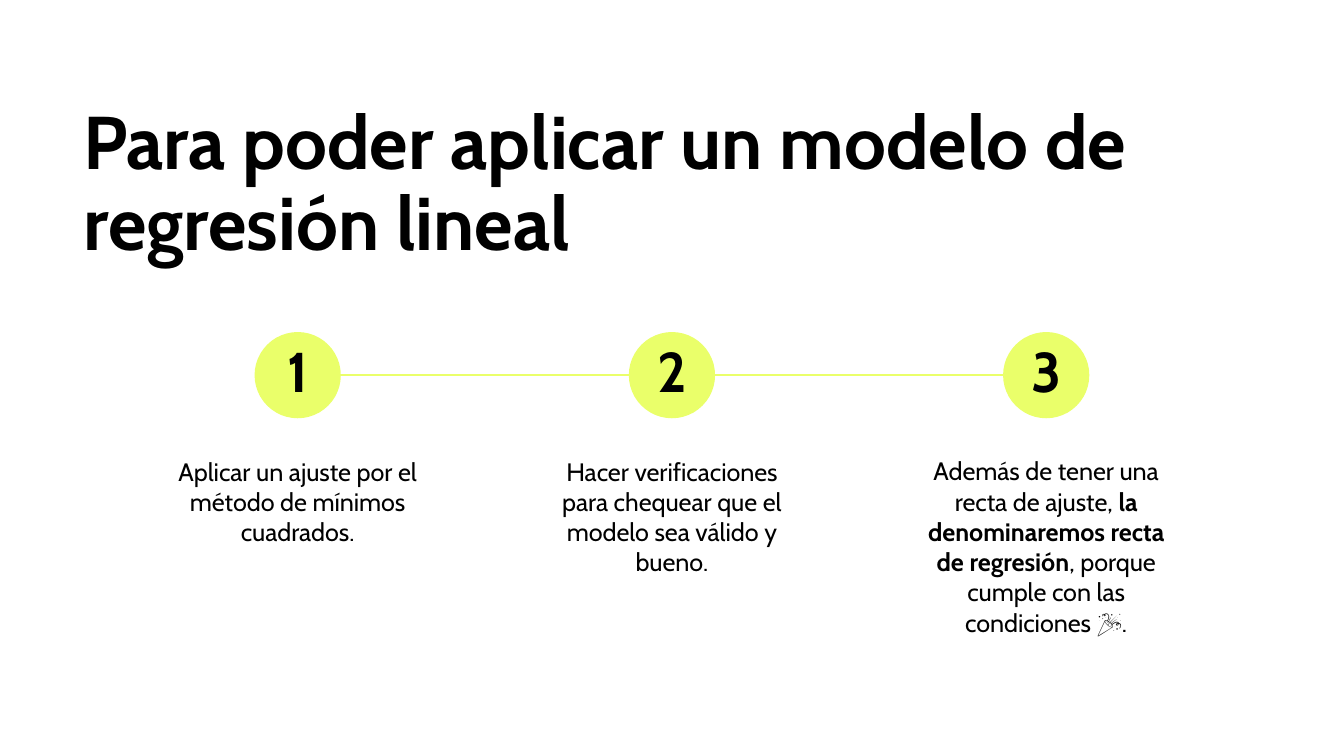
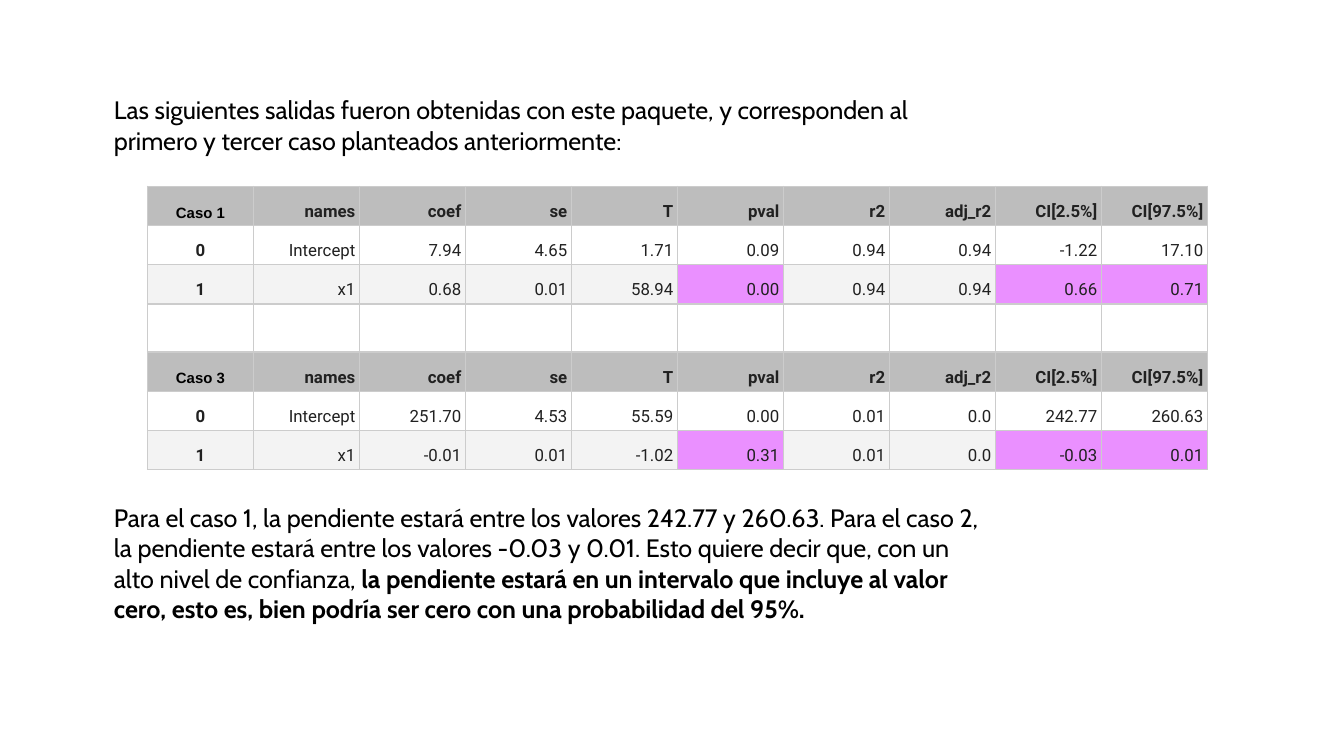
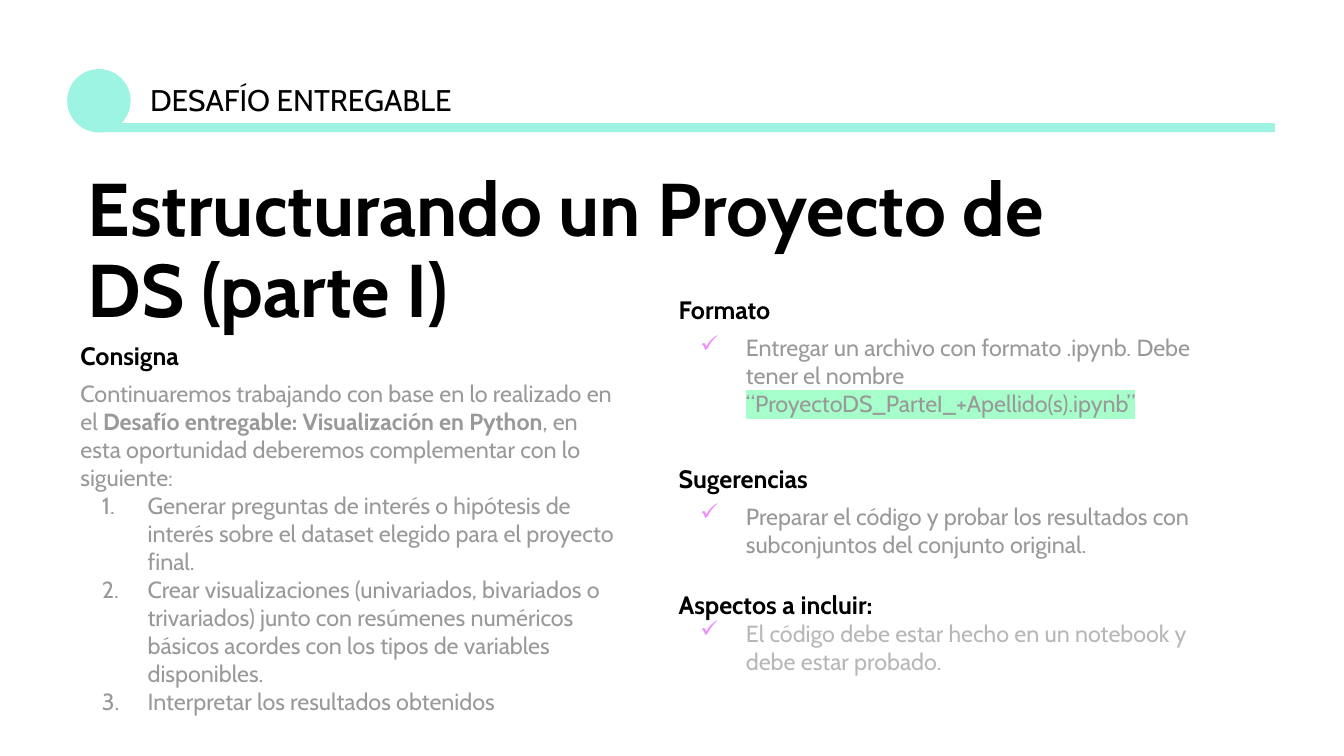
from dataclasses import dataclass, field

from lxml.etree import SubElement
from pptx import Presentation
from pptx.dml.color import RGBColor
from pptx.enum.shapes import MSO_CONNECTOR, MSO_SHAPE
from pptx.enum.text import MSO_ANCHOR, MSO_AUTO_SIZE, PP_ALIGN
from pptx.oxml import parse_xml
from pptx.oxml.ns import nsdecls, qn
from pptx.util import Pt


@dataclass(frozen=True)
class Theme:
    font: str = "Cabin"
    data_font: str = "Roboto"
    label_font: str = "Arial"
    black: str = "000000"
    white: str = "FFFFFF"
    lime: str = "EAFF6A"
    mint: str = "9DF4E2"
    marker: str = "A6FFCA"
    violet: str = "EA90FF"
    gray: str = "999999"
    pale_gray: str = "B7B7B7"
    ink: str = "212121"
    header: str = "BDBDBD"
    stripe: str = "F3F3F3"
    border: str = "CCCCCC"
    title: float = 40
    number: float = 30
    section: float = 16
    body: float = 13.5
    detail: float = 12.5
    data: float = 9
    label: float = 8
    inset: float = 7.2
    cell_inset: float = 2.25


@dataclass
class Para:
    runs: list
    layout: dict = field(default_factory=dict)
    bullet: tuple = ()


class Deck:
    def __init__(self, theme):
        self.theme = theme
        self.presentation = Presentation()
        self.presentation.slide_width = Pt(720)
        self.presentation.slide_height = Pt(405)
        self.slide = None

    def new_slide(self):
        self.slide = self.presentation.slides.add_slide(self.presentation.slide_layouts[6])

    def write_run(self, paragraph, words, size, color=None, highlight=None, **values):
        run = paragraph.add_run()
        run.text = words
        values = {"name": self.theme.font, "bold": False, "size": Pt(size)} | values
        for key, value in values.items():
            setattr(run.font, key, value)
        run.font.color.rgb = RGBColor.from_string(color or self.theme.black)
        if highlight:
            run.font.fill._xPr.find(qn("a:solidFill")).addnext(parse_xml(
                f'<a:highlight {nsdecls("a")}><a:srgbClr val="{highlight}"/></a:highlight>'))

    def add_bullet(self, paragraph, color, mark):
        properties = paragraph._p.get_or_add_pPr()
        properties.set("marL", str(Pt(36)))
        properties.set("indent", str(Pt(-24.5)))
        SubElement(SubElement(properties, qn("a:buClr")), qn("a:srgbClr")).set("val", color)
        if mark == "1.":
            SubElement(properties, qn("a:buAutoNum")).set("type", "arabicPeriod")
        else:
            SubElement(properties, qn("a:buChar")).set("char", mark)

    def text(self, left, top, width, height, *paras):
        box = self.slide.shapes.add_textbox(Pt(left), Pt(top), Pt(width), Pt(height))
        frame = box.text_frame
        inset = Pt(self.theme.inset)
        frame_format = {"word_wrap": True, "auto_size": MSO_AUTO_SIZE.SHAPE_TO_FIT_TEXT,
                        "margin_left": inset, "margin_right": inset,
                        "margin_top": inset, "margin_bottom": inset}
        for key, value in frame_format.items():
            setattr(frame, key, value)
        for index, para in enumerate(paras):
            paragraph = frame.add_paragraph() if index else frame.paragraphs[0]
            if para.bullet:
                self.add_bullet(paragraph, *para.bullet)
            for key, value in para.layout.items():
                setattr(paragraph, key, value)
            for words, style in para.runs:
                self.write_run(paragraph, words, **style)

    def title(self, left, top, width, words):
        style = {"size": self.theme.title, "bold": True}
        self.text(left, top, width, 101.5, Para([(words, style)], {"line_spacing": 0.9}))

    def shape(self, preset, left, top, width, height, color):
        shape = self.slide.shapes.add_shape(preset, Pt(left), Pt(top), Pt(width), Pt(height))
        shape.shadow.inherit = False
        shape.fill.solid()
        shape.fill.fore_color.rgb = RGBColor.from_string(color)
        shape.line.fill.background()

    def line(self, start, end, y, color):
        connector = self.slide.shapes.add_connector(
            MSO_CONNECTOR.STRAIGHT, Pt(start), Pt(y), Pt(end), Pt(y))
        connector.line.color.rgb = RGBColor.from_string(color)
        connector.line.width = Pt(0.75)
        SubElement(connector._element.spPr, qn("a:effectLst"))

    def cell(self, cell, words, fill, align, style):
        inset = Pt(self.theme.cell_inset)
        cell_format = {"vertical_anchor": MSO_ANCHOR.BOTTOM,
                       "margin_left": inset, "margin_right": inset,
                       "margin_top": inset, "margin_bottom": inset}
        for key, value in cell_format.items():
            setattr(cell, key, value)
        properties = cell._tc.get_or_add_tcPr()
        for side in ("lnL", "lnR", "lnT", "lnB"):
            edge = SubElement(properties, qn(f"a:{side}"), w=str(Pt(0.75)))
            SubElement(SubElement(edge, qn("a:solidFill")), qn("a:srgbClr"), val=self.theme.border)
        paragraph = cell.text_frame.paragraphs[0]
        if not words:
            cell.fill.background()
            SubElement(paragraph._p, qn("a:endParaRPr"), sz="900")
            return
        cell.fill.solid()
        cell.fill.fore_color.rgb = RGBColor.from_string(fill)
        paragraph.alignment = align
        paragraph.line_spacing = 1.15
        self.write_run(paragraph, words, **style)

    def results_table(self, left, top, column_width, row_height, gap_height, cases):
        theme = self.theme
        headings = ["names", "coef", "se", "T", "pval", "r2", "adj_r2", "CI[2.5%]", "CI[97.5%]"]
        key_columns = (5, 8, 9)
        rows = []
        for case, intercept, slope in cases:
            if rows:
                rows.append(("gap", [""] * 10))
            rows += [("header", [case] + headings),
                     ("plain", ["0", "Intercept"] + intercept),
                     ("slope", ["1", "x1"] + slope)]
        fills = {"header": theme.header, "plain": theme.white, "slope": theme.stripe, "gap": None}
        table = self.slide.shapes.add_table(
            len(rows), 10, Pt(left), Pt(top), Pt(column_width * 10),
            Pt(row_height * (len(rows) - 1) + gap_height)).table
        table.first_row = table.horz_banding = False
        for column in table.columns:
            column.width = Pt(column_width)
        for r, (role, values) in enumerate(rows):
            table.rows[r].height = Pt(gap_height if role == "gap" else row_height)
            for c, value in enumerate(values):
                style = {"size": theme.data, "name": theme.data_font, "color": theme.ink,
                         "bold": role == "header" or c == 0}
                if role == "header" and c == 0:
                    style |= {"size": theme.label, "name": theme.label_font, "color": theme.black}
                fill = theme.violet if role == "slope" and c in key_columns else fills[role]
                align = PP_ALIGN.RIGHT if c else PP_ALIGN.CENTER
                self.cell(table.cell(r, c), value, fill, align, style)


def steps_slide(deck):
    theme = deck.theme
    deck.new_slide()
    deck.title(37.5, 49, 641, "Para poder aplicar un modelo de regresión lineal")
    body = {"size": theme.body}
    steps = [
        (90, [("Aplicar un ajuste por el método de mínimos cuadrados.", body)]),
        (106.5, [("Hacer verificaciones para chequear que el modelo sea válido y bueno.", body)]),
        (113, [("Además de tener una recta de ajuste, ", body),
               ("la denominaremos recta de regresión", body | {"bold": True}),
               (", porque cumple con las condiciones 🎉.", body)]),
    ]
    diameter, pitch, middle = 46.2, 200.5, 201
    centers = [360 + pitch * (index - 1) for index in range(len(steps))]
    for center in centers:
        deck.shape(MSO_SHAPE.OVAL, center - diameter / 2, middle - diameter / 2,
                   diameter, diameter, theme.lime)
    for start, end in zip(centers, centers[1:]):
        deck.line(start + diameter / 2, end - diameter / 2, middle, theme.lime)
    for number, (center, (height, explanation)) in enumerate(zip(centers, steps), 1):
        deck.text(center - 76.7, 237, 153.4, height,
                  Para(explanation, {"alignment": PP_ALIGN.CENTER}))
        deck.text(center - 16.2, 177, 32.4, 47.5,
                  Para([(str(number), {"size": theme.number, "bold": True})],
                       {"alignment": PP_ALIGN.CENTER, "line_spacing": 0.9}))


def results_slide(deck):
    body = {"size": deck.theme.body}
    deck.new_slide()
    deck.text(54, 43.5, 479.5, 100, Para([(
        "Las siguientes salidas fueron obtenidas con este paquete, y corresponden al "
        "primero y tercer caso planteados anteriormente:", body)]))
    deck.text(54, 262, 479.5, 155, Para([
        ("Para el caso 1, la pendiente estará entre los valores 242.77 y 260.63. "
         "Para el caso 2, la pendiente estará entre los valores -0.03 y 0.01. "
         "Esto quiere decir que, con un alto nivel de confianza, ", body),
        ("la pendiente estará en un intervalo que incluye al valor cero, esto es, "
         "bien podría ser cero con una probabilidad del 95%.", body | {"bold": True})]))
    deck.results_table(79, 99.8, 56.8, 21.05, 25.7, [
        ("Caso 1",
         ["7.94", "4.65", "1.71", "0.09", "0.94", "0.94", "-1.22", "17.10"],
         ["0.68", "0.01", "58.94", "0.00", "0.94", "0.94", "0.66", "0.71"]),
        ("Caso 3",
         ["251.70", "4.53", "55.59", "0.00", "0.01", "0.0", "242.77", "260.63"],
         ["-0.01", "0.01", "-1.02", "0.31", "0.01", "0.0", "-0.03", "0.01"]),
    ])


def challenge_slide(deck):
    theme = deck.theme
    heading = {"size": theme.body, "bold": True}
    detail = {"size": theme.detail, "color": theme.gray}
    numbered = (theme.gray, "1.")
    checked = (theme.violet, "✓")
    after_heading = {"space_after": Pt(4.9)}
    deck.new_slide()
    deck.shape(MSO_SHAPE.OVAL, 36, 37, 34, 34, theme.mint)
    tasks = [
        "Generar preguntas de interés o hipótesis de interés sobre el dataset elegido "
        "para el proyecto final.",
        "Crear visualizaciones (univariados, bivariados o trivariados) junto con resúmenes "
        "numéricos básicos acordes con los tipos de variables disponibles.",
        "Interpretar los resultados obtenidos",
    ]
    deck.text(
        36, 175, 301.7, 234,
        Para([("Consigna", heading)], after_heading),
        Para([("Continuaremos trabajando con base en lo realizado en el ", detail),
              ("Desafío entregable: Visualización en Python", detail | {"bold": True}),
              (", en esta oportunidad deberemos complementar con lo siguiente:", detail)]),
        *[Para([(task, detail)], bullet=numbered) for task in tasks])
    deck.title(40, 85, 575, "Estructurando un Proyecto de DS (parte I)")
    deck.text(73.3, 36.7, 193.7, 34,
              Para([("DESAFÍO ENTREGABLE", {"size": theme.section})]))
    deck.text(
        356.5, 150.5, 301.7, 237.6,
        Para([("Formato", heading)], after_heading),
        Para([("Entregar un archivo con formato .ipynb. Debe tener el nombre ", detail),
              ("“ProyectoDS_ParteI_+Apellido(s).ipynb”", detail | {"highlight": theme.marker})],
             bullet=checked),
        Para([("Sugerencias", heading)], after_heading | {"space_before": Pt(24.4)}),
        Para([("Preparar el código y probar los resultados con subconjuntos del conjunto "
               "original.", detail)], bullet=checked),
        Para([("Aspectos a incluir:", heading)], {"space_before": Pt(16.4)}),
        Para([("El código debe estar hecho en un notebook y debe estar probado.",
               detail | {"color": theme.pale_gray})], bullet=checked))
    deck.shape(MSO_SHAPE.RECTANGLE, 50.4, 66, 632.6, 4.8, theme.mint)


def main():
    deck = Deck(Theme())
    steps_slide(deck)
    results_slide(deck)
    challenge_slide(deck)
    deck.presentation.save("out.pptx")


if __name__ == "__main__":
    main()
